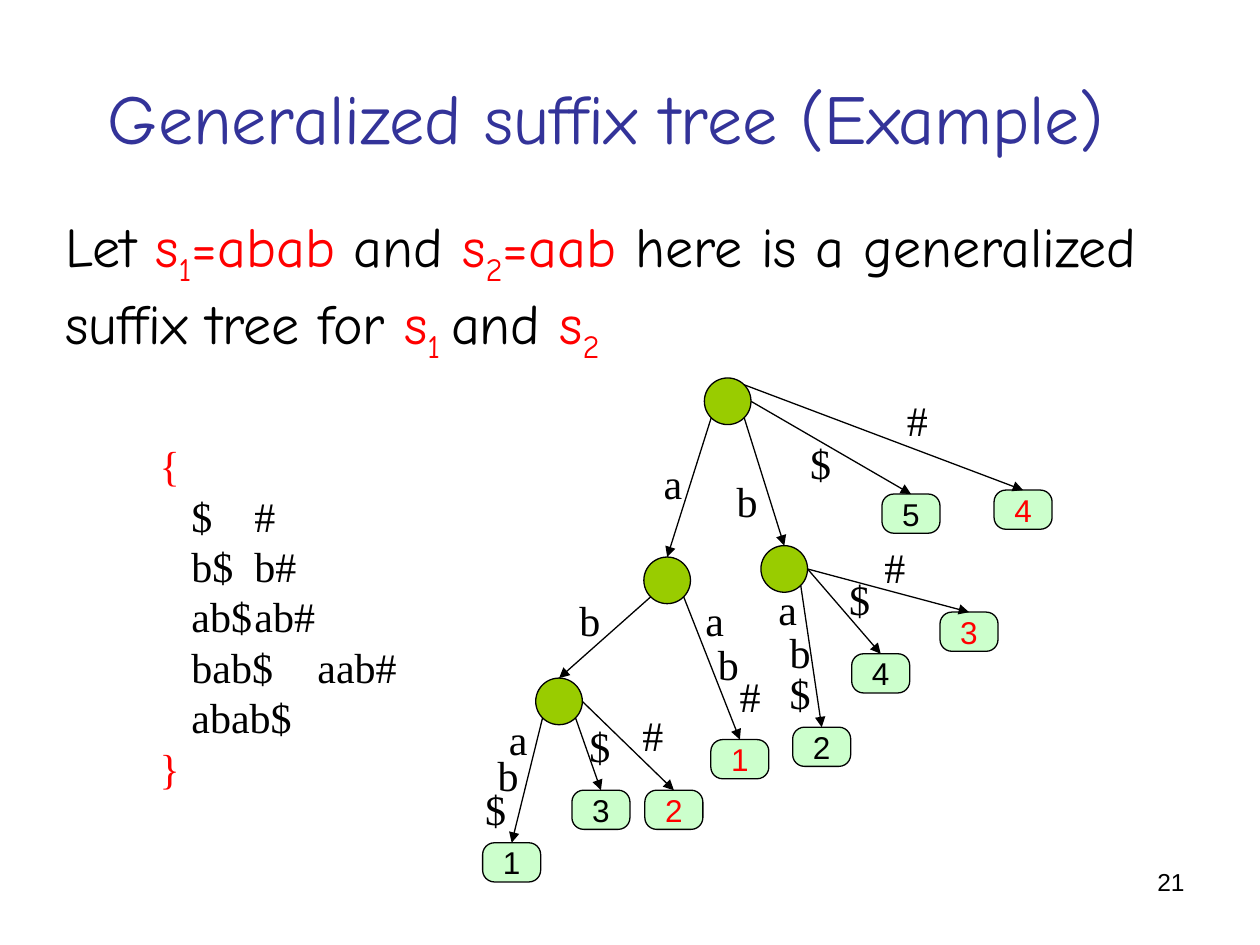
from dataclasses import dataclass
from math import cos, radians, sin
from typing import NamedTuple

from lxml.etree import SubElement
from pptx import Presentation
from pptx.dml.color import RGBColor
from pptx.enum.shapes import MSO_CONNECTOR, MSO_SHAPE
from pptx.enum.text import MSO_ANCHOR, PP_ALIGN
from pptx.oxml.ns import qn
from pptx.util import Cm, Pt


@dataclass(frozen=True)
class Theme:
    ink: str = "000000"
    accent: str = "FF0000"
    heading: str = "333399"
    node: str = "99CC00"
    leaf: str = "CCFFCC"
    hand: str = "Comic Neue"
    serif: str = "Times New Roman"
    sans: str = "Arial"
    title_size: float = 40
    body_size: float = 32
    label_size: float = 24
    leaf_size: float = 18
    number_size: float = 14
    line_width: float = 0.75


THEME = Theme()
NODE_SIZE = 0.94
LEAF_WIDTH, LEAF_HEIGHT = 1.17, 0.79
# Angles on a node's rim, clockwise from the right
RIGHT, LOWER_RIGHT, LOWER_LEFT, UPPER_RIGHT = 0, 45, 135, -45


class Run(NamedTuple):
    text: str
    color: str = THEME.ink
    baseline: int = 0


class Box(NamedTuple):
    left: float
    top: float
    width: float
    height: float


class Vertex(NamedTuple):
    """A tree vertex; leaves carry the start position of their suffix."""
    left: float
    top: float
    suffix: str = ""
    color: str = THEME.ink

    @property
    def size(self) -> tuple[float, float]:
        return (LEAF_WIDTH, LEAF_HEIGHT) if self.suffix else (NODE_SIZE, NODE_SIZE)


class Letter(NamedTuple):
    text: str
    left: float
    top: float


class Edge(NamedTuple):
    parent: str
    child: str
    angle: int
    letters: tuple[Letter, ...]


TITLE = [Run("Generalized suffix tree (Example)", THEME.heading)]
STATEMENT = [
    Run("Let "), Run("s", THEME.accent), Run("1", THEME.accent, -25),
    Run("=abab ", THEME.accent), Run("and "), Run("s", THEME.accent),
    Run("2", THEME.accent, -25), Run("=aab", THEME.accent),
    Run(" here is a generalized suffix tree for "), Run("s", THEME.accent),
    Run("1 ", THEME.accent, -25), Run("and "), Run("s", THEME.accent),
    Run("2", THEME.accent, -25),
]
SUFFIXES = [("$", "#"), ("b$", "b#"), ("ab$", "ab#"), ("bab$", "aab#"), ("abab$",)]

VERTICES = {
    "root": Vertex(14.2, 7.62),
    "a": Vertex(12.98, 11.23),
    "b": Vertex(15.34, 11),
    "ab": Vertex(10.8, 13.67),
    "abab$": Vertex(9.73, 16.99, "1"),
    "bab$": Vertex(15.98, 14.66, "2"),
    "ab$": Vertex(11.53, 15.93, "3"),
    "b$": Vertex(17.17, 13.18, "4"),
    "$": Vertex(17.78, 9.96, "5"),
    "aab#": Vertex(14.33, 14.91, "1", THEME.accent),
    "ab#": Vertex(13, 15.93, "2", THEME.accent),
    "b#": Vertex(18.95, 12.34, "3", THEME.accent),
    "#": Vertex(20.04, 9.88, "4", THEME.accent),
}
EDGES = [
    Edge("root", "a", LOWER_LEFT, (Letter("a", 13.13, 9.09),)),
    Edge("root", "b", LOWER_RIGHT, (Letter("b", 14.6, 9.47),)),
    Edge("root", "$", RIGHT, (Letter("$", 16.08, 8.69),)),
    Edge("root", "#", UPPER_RIGHT, (Letter("#", 18.03, 7.82),)),
    Edge("a", "ab", LOWER_LEFT, (Letter("b", 11.43, 11.86),)),
    Edge("a", "aab#", LOWER_RIGHT, (
        Letter("a", 13.97, 11.86), Letter("b", 14.22, 12.75), Letter("#", 14.66, 13.39))),
    Edge("ab", "abab$", LOWER_LEFT, (
        Letter("a", 10.01, 14.25), Letter("b", 9.78, 14.99), Letter("$", 9.53, 15.67))),
    Edge("ab", "ab$", LOWER_RIGHT, (Letter("$", 11.63, 14.4),)),
    Edge("ab", "ab#", RIGHT, (Letter("#", 12.7, 14.17),)),
    Edge("b", "bab$", LOWER_RIGHT, (
        Letter("a", 15.44, 11.63), Letter("b", 15.67, 12.5), Letter("$", 15.67, 13.34))),
    Edge("b", "b$", RIGHT, (Letter("$", 16.87, 11.43),)),
    Edge("b", "b#", RIGHT, (Letter("#", 17.58, 10.8),)),
]


def apply(target, **values) -> None:
    for name, value in values.items():
        setattr(target, name, value)


def write(paragraph, runs: list[Run], font: str, size: float, align=PP_ALIGN.LEFT) -> None:
    paragraph.alignment = align
    for part in runs:
        run = paragraph.add_run()
        run.text = part.text
        apply(run.font, name=font, size=Pt(size))
        run.font.color.rgb = RGBColor.from_string(part.color)
        if part.baseline:
            run.font._element.set("baseline", str(part.baseline * 1000))


def add_text(slide, box: Box, runs: list[Run], font: str, size: float,
             align=PP_ALIGN.LEFT, **frame_format):
    frame = slide.shapes.add_textbox(*map(Cm, box)).text_frame
    apply(frame, word_wrap=True, **frame_format)
    write(frame.paragraphs[0], runs, font, size, align)
    return frame


def add_suffix_list(slide) -> None:
    """Write both suffix sets between braces, in two tabbed columns."""
    brace = (THEME.serif, THEME.label_size)
    frame = add_text(slide, Box(2.97, 8.74, 6.45, 7.37), [Run("{", THEME.accent)], *brace)
    for row in SUFFIXES:
        paragraph = frame.add_paragraph()
        properties = paragraph._p.get_or_add_pPr()
        apply_indent = {"marL": Cm(0.64), "indent": 0}
        for name, value in apply_indent.items():
            properties.set(name, str(value))
        tabs = SubElement(properties, qn("a:tabLst"))
        SubElement(tabs, qn("a:tab"), pos=str(Cm(3.35)), algn="l")
        write(paragraph, [Run("\t".join(row))], *brace)
    write(frame.add_paragraph(), [Run("}", THEME.accent)], *brace)


def add_vertex(slide, vertex: Vertex) -> None:
    kind = MSO_SHAPE.ROUNDED_RECTANGLE if vertex.suffix else MSO_SHAPE.OVAL
    shape = slide.shapes.add_shape(kind, *map(Cm, (vertex.left, vertex.top, *vertex.size)))
    shape.shadow.inherit = False
    shape.fill.solid()
    shape.fill.fore_color.rgb = RGBColor.from_string(THEME.leaf if vertex.suffix else THEME.node)
    shape.line.color.rgb = RGBColor.from_string(THEME.ink)
    shape.line.width = Pt(THEME.line_width)
    if vertex.suffix:
        shape.adjustments[0] = 0.3
        apply(shape.text_frame, word_wrap=False, vertical_anchor=MSO_ANCHOR.MIDDLE)
        write(shape.text_frame.paragraphs[0], [Run(vertex.suffix, vertex.color)],
              THEME.sans, THEME.leaf_size, PP_ALIGN.CENTER)


def add_edge(slide, edge: Edge) -> None:
    """Draw an arrow from the parent's rim to the child's top centre, with its letters."""
    parent, child = VERTICES[edge.parent], VERTICES[edge.child]
    radius, angle = NODE_SIZE / 2, radians(edge.angle)
    start = (parent.left + radius * (1 + cos(angle)), parent.top + radius * (1 + sin(angle)))
    end = (child.left + child.size[0] / 2, child.top)
    arrow = slide.shapes.add_connector(MSO_CONNECTOR.STRAIGHT, *map(Cm, start + end))
    arrow.line.color.rgb = RGBColor.from_string(THEME.ink)
    arrow.line.width = Pt(THEME.line_width)
    SubElement(arrow.line._get_or_add_ln(), qn("a:tailEnd"), type="triangle")
    SubElement(arrow._element.spPr, qn("a:effectLst"))
    for letter in edge.letters:
        add_text(slide, Box(letter.left, letter.top, 1.06, 1.27), [Run(letter.text)],
                 THEME.serif, THEME.label_size)


def main() -> None:
    deck = Presentation()
    apply(deck, slide_width=Cm(25.4), slide_height=Cm(19.05))
    slide = deck.slides.add_slide(deck.slide_layouts[6])
    add_text(slide, Box(1.27, 0.76, 22.86, 3.18), TITLE, THEME.hand, THEME.title_size,
             PP_ALIGN.CENTER, vertical_anchor=MSO_ANCHOR.MIDDLE, margin_right=Cm(1.21))
    add_text(slide, Box(1.07, 4.14, 23.5, 3.35), STATEMENT, THEME.hand, THEME.body_size)
    add_suffix_list(slide)
    for vertex in VERTICES.values():
        add_vertex(slide, vertex)
    for edge in EDGES:
        add_edge(slide, edge)
    add_text(slide, Box(18.21, 17.35, 5.92, 1.32), [Run("21")], THEME.sans,
             THEME.number_size, PP_ALIGN.RIGHT)
    deck.save("out.pptx")


if __name__ == "__main__":
    main()
